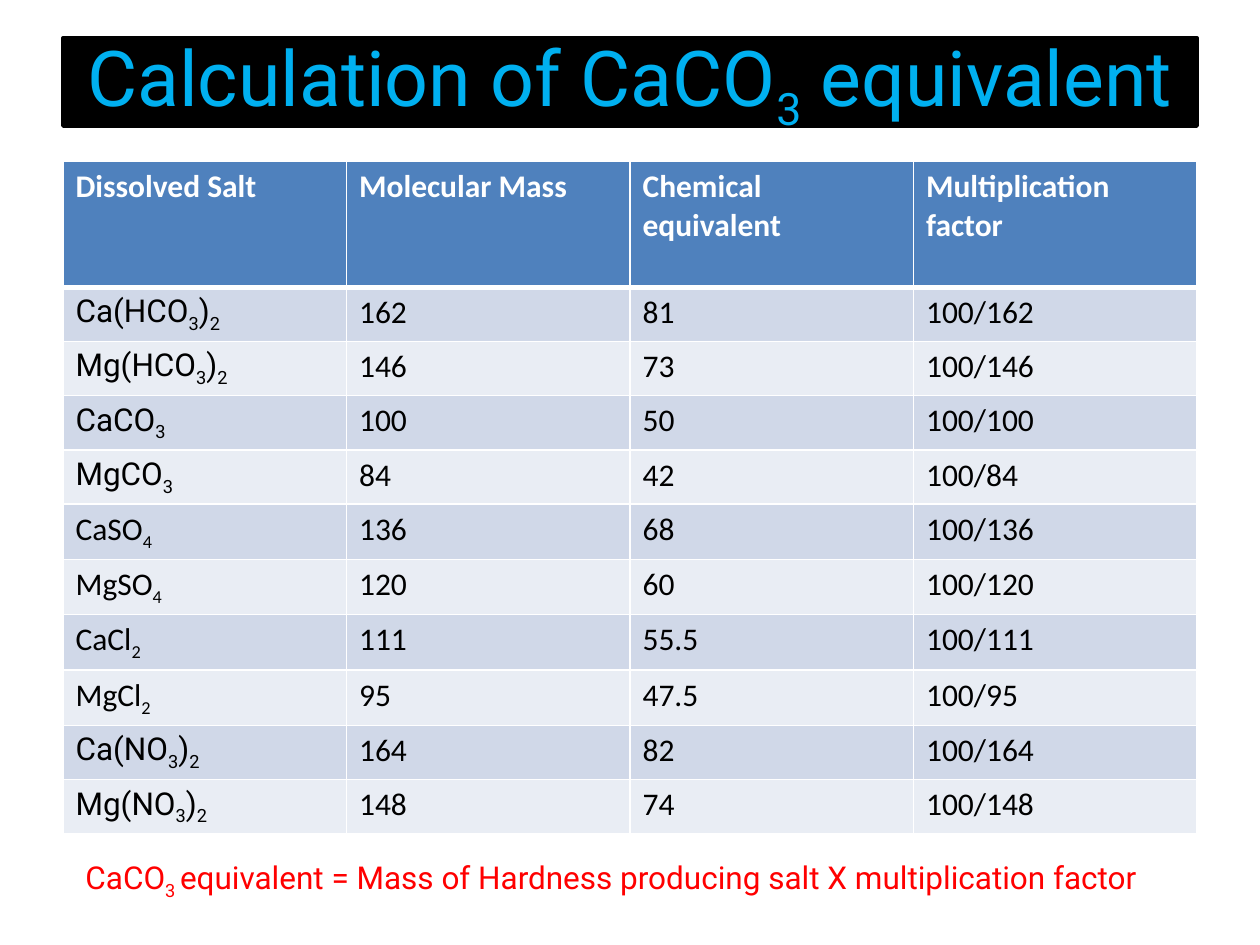
from lxml import etree
from pptx import Presentation
from pptx.dml.color import RGBColor
from pptx.enum.text import MSO_ANCHOR, MSO_AUTO_SIZE, PP_ALIGN
from pptx.oxml.ns import qn
from pptx.util import Inches, Pt

MIDDLE = MSO_ANCHOR.MIDDLE
CENTER = PP_ALIGN.CENTER
NO_FIT = MSO_AUTO_SIZE.NONE
GROW = MSO_AUTO_SIZE.SHAPE_TO_FIT_TEXT

BLACK = RGBColor(0x00, 0x00, 0x00)
WHITE = RGBColor(0xFF, 0xFF, 0xFF)
CYAN = RGBColor(0x00, 0xB0, 0xF0)
RED = RGBColor(0xFF, 0x00, 0x00)
BLUE = RGBColor(0x4F, 0x81, 0xBD)
BANDS = RGBColor(0xD0, 0xD8, 0xE8), RGBColor(0xE9, 0xED, 0xF4)

SANS, PLAIN = "Roboto", "Calibri"
WIDE, HIGH = 10, 7.5
EDGE = 0.05 * WIDE
SPAN = WIDE - 2 * EDGE
HEAD_TALL, ROW_TALL = 1, 0.43

HEADS = ("Dissolved Salt", "Molecular Mass",
         "Chemical equivalent", "Multiplication factor")
# Text between tildes is set as subscript.
SALTS = (
    ("Ca(HCO~3~)~2~", 162, SANS),
    ("Mg(HCO~3~)~2~", 146, SANS),
    ("CaCO~3~", 100, SANS),
    ("MgCO~3~", 84, SANS),
    ("CaSO~4~", 136, PLAIN),
    ("MgSO~4~", 120, PLAIN),
    ("CaCl~2~", 111, PLAIN),
    ("MgCl~2~", 95, PLAIN),
    ("Ca(NO~3~)~2~", 164, SANS),
    ("Mg(NO~3~)~2~", 148, SANS),
)


def write(frame, text, color, name=PLAIN, size=18, bold=False):
    """Fill the first paragraph, lowering the parts between tildes."""
    form = {"name": name, "size": Pt(size), "bold": bold}
    para = frame.paragraphs[0]
    for i, part in enumerate(text.split("~")):
        if not part:
            continue
        run = para.add_run()
        run.text = part
        for key, value in form.items():
            setattr(run.font, key, value)
        run.font.color.rgb = color
        if i % 2:
            run.font._element.set("baseline", "-25000")
    return para


def add_title(slide):
    title = slide.shapes.title
    box = {"left": EDGE, "top": 0.04 * HIGH, "width": SPAN, "height": 0.7}
    for key, value in box.items():
        setattr(title, key, Inches(value))
    title.fill.solid()
    title.fill.fore_color.rgb = BLACK
    title.line.color.rgb = BLACK
    title.line.width = Pt(2)
    frame = title.text_frame
    frame.auto_size = NO_FIT
    frame.vertical_anchor = MIDDLE
    para = write(frame, "Calculation of CaCO~3~ equivalent", CYAN, SANS, 44)
    para.alignment = CENTER


def rule(cell, base):
    """Draw white cell borders; base is the width of the bottom one."""
    props = cell._tc.get_or_add_tcPr()
    for side, width in zip("LRTB", (1, 1, 1, base)):
        line = etree.SubElement(props, qn(f"a:ln{side}"), w=str(Pt(width)))
        fill = etree.SubElement(line, qn("a:solidFill"))
        etree.SubElement(fill, qn("a:srgbClr"), val=str(WHITE))


def fill_cell(cell, text, fill, color=BLACK, name=PLAIN, bold=False, base=1):
    rule(cell, base)
    cell.fill.solid()
    cell.fill.fore_color.rgb = fill
    write(cell.text_frame, text, color, name, bold=bold)


def add_grid(slide):
    tall = HEAD_TALL + ROW_TALL * len(SALTS)
    table = slide.shapes.add_table(
        len(SALTS) + 1, len(HEADS), Inches(EDGE), Inches(1.28),
        Inches(SPAN), Inches(tall)).table
    for i, row in enumerate(table.rows):
        row.height = Inches(ROW_TALL if i else HEAD_TALL)
    for col, head in enumerate(HEADS):
        fill_cell(table.cell(0, col), head, BLUE, WHITE, bold=True, base=3)
    for i, (salt, mass, name) in enumerate(SALTS):
        texts = salt, str(mass), f"{mass / 2:g}", f"100/{mass}"
        for col, text in enumerate(texts):
            fill_cell(table.cell(i + 1, col), text, BANDS[i % 2],
                      name=PLAIN if col else name)


def add_note(slide):
    box = slide.shapes.add_textbox(
        Inches(0.58), Inches(6.76), Inches(8.83), Inches(0.4))
    frame = box.text_frame
    frame.word_wrap = True
    frame.auto_size = GROW
    write(frame, "CaCO~3 ~equivalent = Mass of Hardness producing salt "
          "X multiplication factor", RED, SANS)


def main():
    deck = Presentation()
    deck.slide_width, deck.slide_height = Inches(WIDE), Inches(HIGH)
    slide = deck.slides.add_slide(deck.slide_layouts[5])
    add_title(slide)
    add_grid(slide)
    add_note(slide)
    deck.save("out.pptx")


if __name__ == "__main__":
    main()
